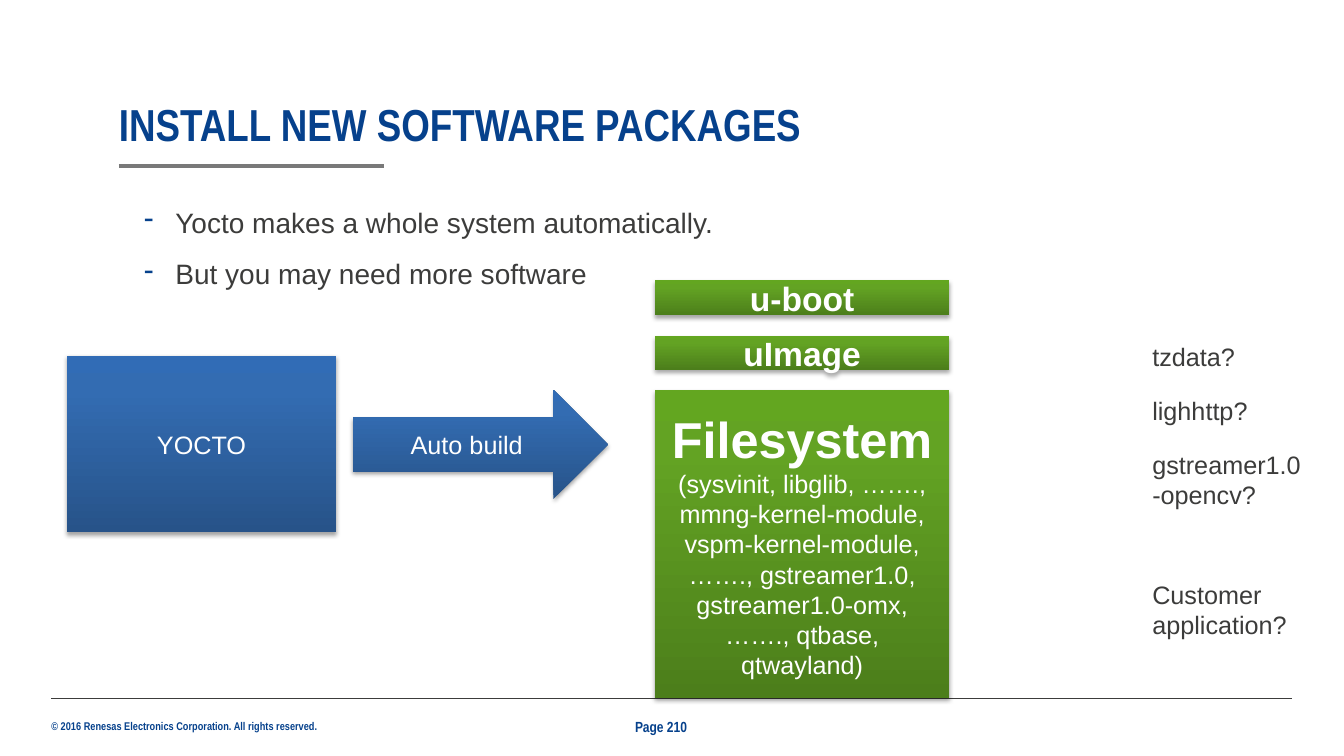
from copy import deepcopy
from dataclasses import dataclass

from lxml import etree
from pptx import Presentation
from pptx.dml.color import RGBColor
from pptx.enum.shapes import MSO_CONNECTOR, MSO_SHAPE
from pptx.enum.text import MSO_ANCHOR, MSO_AUTO_SIZE, PP_ALIGN
from pptx.oxml.ns import qn
from pptx.util import Inches, Pt

RECT, ARROW = MSO_SHAPE.RECTANGLE, MSO_SHAPE.RIGHT_ARROW
LINE = MSO_CONNECTOR.STRAIGHT
TOP, MIDDLE, BOTTOM = MSO_ANCHOR.TOP, MSO_ANCHOR.MIDDLE, MSO_ANCHOR.BOTTOM
CENTER = PP_ALIGN.CENTER
GROW = MSO_AUTO_SIZE.SHAPE_TO_FIT_TEXT
WIDTH, HEIGHT = Inches(13.33), Inches(7.5)
COLS, ROWS = 160, 90


@dataclass(frozen=True)
class Theme:
    """Hold the colours, fonts and type sizes of the slide."""
    navy: str = "06418C"
    ink: str = "3C3C3B"
    gray: str = "797979"
    white: str = "FFFFFF"
    black: str = "000000"
    blue: tuple = ("275389", "336CB2", "316CB6")
    green: tuple = ("4C7E1B", "63A323", "63A620")
    stops: tuple = (0, 0.8, 1)
    body: str = "Arial"
    head: str = "Arial Narrow"
    title: float = 32
    large: float = 36
    strong: float = 24
    point: float = 20
    label: float = 18
    page: float = 10.5
    legal: float = 8


THEME = Theme()


def place(left, top, width, height):
    """Turn grid columns and rows into slide lengths."""
    return (round(left * WIDTH / COLS), round(top * HEIGHT / ROWS),
            round(width * WIDTH / COLS), round(height * HEIGHT / ROWS))


def style(para, size, color, face=THEME.body, bold=False):
    """Format every run of a paragraph."""
    for run in para.runs:
        font = run.font
        font.name, font.size, font.bold = face, Pt(size), bold
        font.color.rgb = RGBColor.from_string(color)


def add_text(slide, box, text, size, color=THEME.ink, face=THEME.body,
             bold=False, anchor=TOP, flush=False, wrap=True):
    """Add a text box and return its frame."""
    frame = slide.shapes.add_textbox(*place(*box)).text_frame
    frame.word_wrap, frame.auto_size = wrap, GROW
    frame.vertical_anchor = anchor
    if flush:
        frame.margin_left = frame.margin_right = 0
        frame.margin_top = frame.margin_bottom = 0
    frame.text = text
    for para in frame.paragraphs:
        style(para, size, color, face, bold)
    return frame


def add_points(slide, box, points):
    """Add a list with dash bullets."""
    frame = add_text(slide, box, "\n".join(points), THEME.point, flush=True)
    for para in frame.paragraphs:
        para.level, para.line_spacing, para.space_after = 1, 1.2, Pt(8)
        props = para._p.get_or_add_pPr()
        props.set("marL", str(Inches(0.56)))
        props.set("indent", str(Inches(-0.31)))
        tint = etree.SubElement(props, qn("a:buClr"))
        etree.SubElement(tint, qn("a:srgbClr"), val=THEME.navy)
        etree.SubElement(props, qn("a:buChar"), char="-")


def add_rule(slide, left, right, row, color, weight):
    """Add a level line with no shadow."""
    x, y, span, _ = place(left, row, right - left, 0)
    rule = slide.shapes.add_connector(LINE, x, y, x + span, y)
    rule.line.color.rgb = RGBColor.from_string(color)
    rule.line.width = Pt(weight)
    etree.SubElement(rule._element.spPr, qn("a:effectLst"))


def shade(shape, colors):
    """Give a shape a rising colour blend and a soft shadow."""
    shape.fill.gradient()
    shape.fill.gradient_angle = 90
    props = shape._element.spPr
    blend = props.find(".//" + qn("a:gsLst"))
    blend.append(deepcopy(blend[-1]))
    for stop, color, share in zip(shape.fill.gradient_stops, colors, THEME.stops):
        stop.color.rgb = RGBColor.from_string(color)
        stop.position = share
    shape.line.fill.background()
    shape.shadow.inherit = False
    shadow = etree.SubElement(
        props.find(qn("a:effectLst")), qn("a:outerShdw"), blurRad=str(Pt(3.1)),
        dist=str(Pt(1.8)), dir="5400000", rotWithShape="0")
    tint = etree.SubElement(shadow, qn("a:srgbClr"), val=THEME.black)
    etree.SubElement(tint, qn("a:alpha"), val="35000")


def add_block(slide, kind, box, colors, *lines):
    """Add a shaded shape with lines of text, size and weight."""
    shape = slide.shapes.add_shape(kind, *place(*box))
    shade(shape, colors)
    frame = shape.text_frame
    frame.word_wrap, frame.vertical_anchor = True, MIDDLE
    frame.text = "\n".join(text for text, _, _ in lines)
    for para, (_, size, bold) in zip(frame.paragraphs, lines):
        para.alignment = CENTER
        style(para, size, THEME.white, bold=bold)


def add_frame(slide):
    """Add the title, page number, legal line and rules."""
    look = {"color": THEME.navy, "face": THEME.head, "bold": True, "flush": True}
    add_text(slide, (6.12, 85.68, 32.16, 1.56),
             "© 2016 Renesas Electronics Corporation. All rights reserved.",
             THEME.legal, wrap=False, **look)
    add_rule(slide, 6.12, 153.84, 83.16, THEME.ink, 0.5)
    add_rule(slide, 14.16, 45.72, 19.8, THEME.gray, 3)
    title = add_text(slide, (14.16, 12.24, 111.84, 5.76),
                     "INSTALL NEW SOFTWARE PACKAGES", THEME.title,
                     anchor=BOTTOM, **look)
    title.paragraphs[0].line_spacing = 0.9
    add_text(slide, (75.6, 85.44, 8.76, 2.16), "Page 210", THEME.page,
             anchor=MIDDLE, **look)


def add_flow(slide):
    """Add the build tool, the arrow and the pieces it makes."""
    add_block(slide, RECT, (8, 42.36, 32, 21), THEME.blue,
              ("YOCTO", THEME.label, False))
    add_block(slide, ARROW, (42, 46.44, 30.36, 12.96), THEME.blue,
              ("Auto build", THEME.label, False))
    for name, row, tall in (("u-boot", 33.36, 4.2), ("uImage", 40, 4)):
        add_block(slide, RECT, (78, row, 35, tall), THEME.green,
                  (name, THEME.strong, True))
    add_block(slide, RECT, (78, 46.44, 35, 36.6), THEME.green,
              ("Filesystem", THEME.large, True),
              ("(sysvinit, libglib, ……., mmng-kernel-module, "
               "vspm-kernel-module, ……., gstreamer1.0, gstreamer1.0-omx, "
               "……., qtbase, qtwayland)", THEME.label, False))


def main():
    """Build the slide and save it."""
    deck = Presentation()
    deck.slide_width, deck.slide_height = WIDTH, HEIGHT
    slide = deck.slides.add_slide(deck.slide_layouts[6])
    add_frame(slide)
    add_points(slide, (14.16, 23.64, 118.08, 17.28),
               ("Yocto makes a whole system automatically.",
                "But you may need more software"))
    add_flow(slide)
    for text, row, tall in (("tzdata?", 40, 4.8), ("lighhttp?", 46.44, 4.8),
                            ("gstreamer1.0-opencv?", 52.92, 8.5),
                            ("Customer application?", 68.4, 8.5)):
        add_text(slide, (136, row, 21, tall), text, THEME.label)
    deck.save("out.pptx")


if __name__ == "__main__":
    main()
